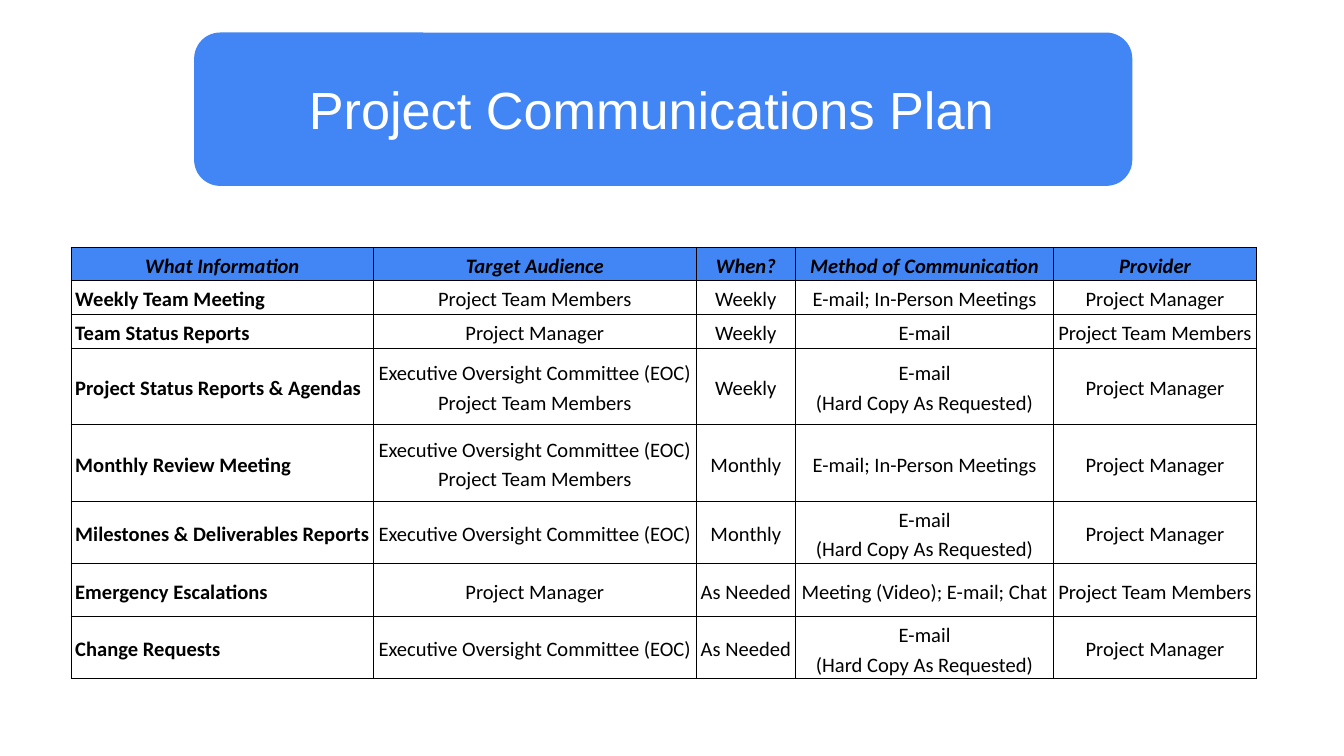
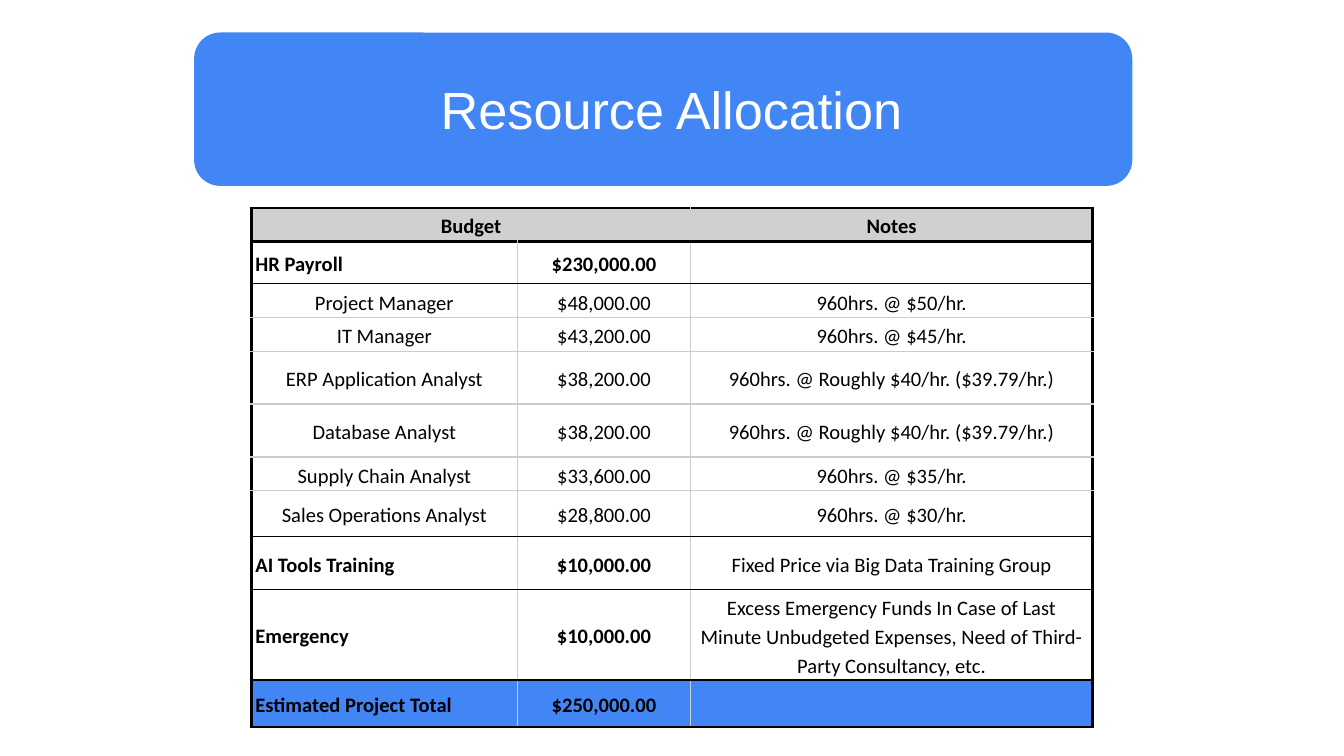
"""Build a communications plan slide and a resource allocation slide."""
from dataclasses import dataclass
from itertools import accumulate

from lxml import etree
from pptx import Presentation, util as u
from pptx.dml.color import RGBColor
from pptx.enum import shapes, text
from pptx.oxml import ns

BLUE = RGBColor(0x42, 0x85, 0xF4)
WHITE = RGBColor(0xFF, 0xFF, 0xFF)
BLACK = RGBColor(0, 0, 0)
SILVER = RGBColor(0xD0, 0xD0, 0xD0)
GREY = RGBColor(0xCC, 0xCC, 0xCC)

THIN = (BLACK, 0.75)
THICK = (BLACK, 1.5)
FAINT = (GREY, 0.75)

LEFT = text.PP_ALIGN.LEFT
CENTER = text.PP_ALIGN.CENTER
MIDDLE = text.MSO_ANCHOR.MIDDLE
BOTTOM = text.MSO_ANCHOR.BOTTOM


@dataclass(frozen=True)
class RowKind:
    fill: RGBColor = WHITE
    bold_columns: int = 0
    first_align: text.PP_ALIGN = CENTER
    italic: bool = False
    anchor: text.MSO_ANCHOR = MIDDLE


PLAN_HEADER = RowKind(BLUE, bold_columns=5, italic=True)
PLAN_ROW = RowKind(bold_columns=1, first_align=LEFT)
BUDGET_HEADER = RowKind(SILVER, bold_columns=3, anchor=BOTTOM)
SECTION = RowKind(bold_columns=2, first_align=LEFT)
ITEM = RowKind()
TOTAL = RowKind(BLUE, bold_columns=2, first_align=LEFT)

EOC = "Executive Oversight Committee (EOC)"
TEAM = "Project Team Members"
MANAGER = "Project Manager"
HARD_COPY = "E-mail\n(Hard Copy As Requested)"
IN_PERSON = "E-mail; In-Person Meetings"
ROUGHLY_40 = "960hrs. @ Roughly $40/hr. ($39.79/hr.)"

PLAN_COLUMNS = [22.5, 24, 7.4, 19.2, 15.1]
PLAN = [
    (PLAN_HEADER, 4.1, ["What Information", "Target Audience", "When?",
                        "Method of Communication", "Provider"]),
    (PLAN_ROW, 4.1, ["Weekly Team Meeting", TEAM, "Weekly", IN_PERSON, MANAGER]),
    (PLAN_ROW, 4.1, ["Team Status Reports", MANAGER, "Weekly", "E-mail", TEAM]),
    (PLAN_ROW, 10.15, ["Project Status Reports & Agendas", f"{EOC}\n{TEAM}",
                       "Weekly", HARD_COPY, MANAGER]),
    (PLAN_ROW, 10.15, ["Monthly Review Meeting", f"{EOC}\n{TEAM}", "Monthly",
                       IN_PERSON, MANAGER]),
    (PLAN_ROW, 7.05, ["Milestones & Deliverables Reports", EOC, "Monthly",
                      HARD_COPY, MANAGER]),
    (PLAN_ROW, 7.05, ["Emergency Escalations", MANAGER, "As Needed",
                      "Meeting (Video); E-mail; Chat", TEAM]),
    (PLAN_ROW, 7.05, ["Change Requests", EOC, "As Needed", HARD_COPY, MANAGER]),
]

BUDGET_COLUMNS = [19.8, 12.9, 29.9]
BUDGET = [
    (BUDGET_HEADER, 3.9, ["Budget", "", "Notes"]),
    (SECTION, 5.6, ["HR Payroll", "$230,000.00", ""]),
    (ITEM, 3.9, ["Project Manager", "$48,000.00", "960hrs. @ $50/hr."]),
    (ITEM, 3.9, ["IT Manager", "$43,200.00", "960hrs. @ $45/hr."]),
    (ITEM, 7, ["ERP Application Analyst", "$38,200.00", ROUGHLY_40]),
    (ITEM, 7, ["Database Analyst", "$38,200.00", ROUGHLY_40]),
    (ITEM, 3.9, ["Supply Chain Analyst", "$33,600.00", "960hrs. @ $35/hr."]),
    (ITEM, 6.1, ["Sales Operations Analyst", "$28,800.00", "960hrs. @ $30/hr."]),
    (SECTION, 7, ["AI Tools Training", "$10,000.00",
                  "Fixed Price via Big Data Training Group"]),
    (SECTION, 10.15, ["Emergency", "$10,000.00",
                      "Excess Emergency Funds In Case of Last Minute Unbudgeted "
                      "Expenses, Need of Third-Party Consultancy, etc."]),
    (TOTAL, 6.2, ["Estimated Project Total", "$250,000.00", ""]),
]
BUDGET_RULES = [THICK] * 2 + [THIN] + [FAINT] * 5 + [THIN] * 3 + [THICK]
BUDGET_SIDES = [THICK, FAINT, FAINT, THICK]


class Builder:
    """Draw styled elements on the current slide, in percent of its size."""

    def __init__(self):
        self.deck = Presentation()
        self.deck.slide_width = u.Inches(10)
        self.deck.slide_height = u.Inches(5.625)
        self.page = None

    def x(self, percent):
        return round(self.deck.slide_width * percent / 100)

    def y(self, percent):
        return round(self.deck.slide_height * percent / 100)

    def area(self, left, top, width, height):
        return self.x(left), self.y(top), self.x(width), self.y(height)

    def new_page(self, title, align):
        self.page = self.deck.slides.add_slide(self.deck.slide_layouts[6])
        self.banner()
        self.title(title, align)

    def banner(self):
        band = self.page.shapes.add_shape(
            shapes.MSO_SHAPE.ROUNDED_RECTANGLE, *self.area(14.5, 4.4, 69.7, 20.1))
        band.shadow.inherit = False
        band.fill.solid()
        band.fill.fore_color.rgb = BLUE
        band.line.color.rgb = BLUE
        band.line.width = u.Pt(0.75)

    def title(self, words, align):
        box = self.page.shapes.add_textbox(*self.area(22, 7.8, 55.9, 13.2))
        frame = box.text_frame
        frame.word_wrap = True
        frame.vertical_anchor = MIDDLE
        frame.margin_left = frame.margin_right = u.Inches(0.1)
        frame.margin_top = frame.margin_bottom = u.Inches(0.1)
        frame.text = words
        self.style(frame.paragraphs[0], "Arial", 28, WHITE, align)

    def style(self, para, face, size, color, align, bold=False, italic=False):
        para.alignment = align
        font = para.font
        font.name, font.size = face, u.Pt(size)
        font.bold, font.italic = bold, italic
        font.color.rgb = color

    def table(self, left, top, columns, rows, rules, sides):
        heights = [height for _, height, _ in rows]
        *_, width = accumulate(columns)
        *_, total_height = accumulate(heights)
        table = self.page.shapes.add_table(
            len(rows), len(columns),
            *self.area(left, top, width, total_height)).table
        table.first_row = table.horz_banding = False
        for column, share in zip(table.columns, columns):
            column.width = self.x(share)
        for r, (kind, height, words) in enumerate(rows):
            table.rows[r].height = self.y(height)
            for c, content in enumerate(words):
                cell = table.cell(r, c)
                self.borders(cell, sides[c], sides[c + 1], rules[r], rules[r + 1])
                self.cell(cell, kind, c, content)
        return table

    def cell(self, cell, kind, column, content):
        cell.fill.solid()
        cell.fill.fore_color.rgb = kind.fill
        cell.vertical_anchor = kind.anchor
        cell.margin_left = cell.margin_right = u.Inches(0.03)
        cell.margin_top = cell.margin_bottom = u.Inches(0.02)
        cell.text = content
        align = kind.first_align if column == 0 else CENTER
        for para in cell.text_frame.paragraphs:
            para.line_spacing = 1.15
            self.style(para, "Calibri", 11, BLACK, align,
                       column < kind.bold_columns, kind.italic)

    def borders(self, cell, *edges):
        properties = cell._tc.get_or_add_tcPr()
        for side, (color, width) in zip("LRTB", edges):
            line = etree.SubElement(properties, ns.qn(f"a:ln{side}"),
                                    w=str(u.Pt(width)))
            fill = etree.SubElement(line, ns.qn("a:solidFill"))
            etree.SubElement(fill, ns.qn("a:srgbClr"), val=str(color))


def main():
    builder = Builder()
    builder.new_page("Project Communications Plan", LEFT)
    builder.table(5.3, 32.7, PLAN_COLUMNS, PLAN,
                  [THIN] * (len(PLAN) + 1), [THIN] * (len(PLAN_COLUMNS) + 1))
    builder.new_page("Resource Allocation", CENTER)
    budget = builder.table(18.7, 27.5, BUDGET_COLUMNS, BUDGET,
                           BUDGET_RULES, BUDGET_SIDES)
    budget.cell(0, 0).merge(budget.cell(0, 1))
    builder.deck.save("out.pptx")


if __name__ == "__main__":
    main()
